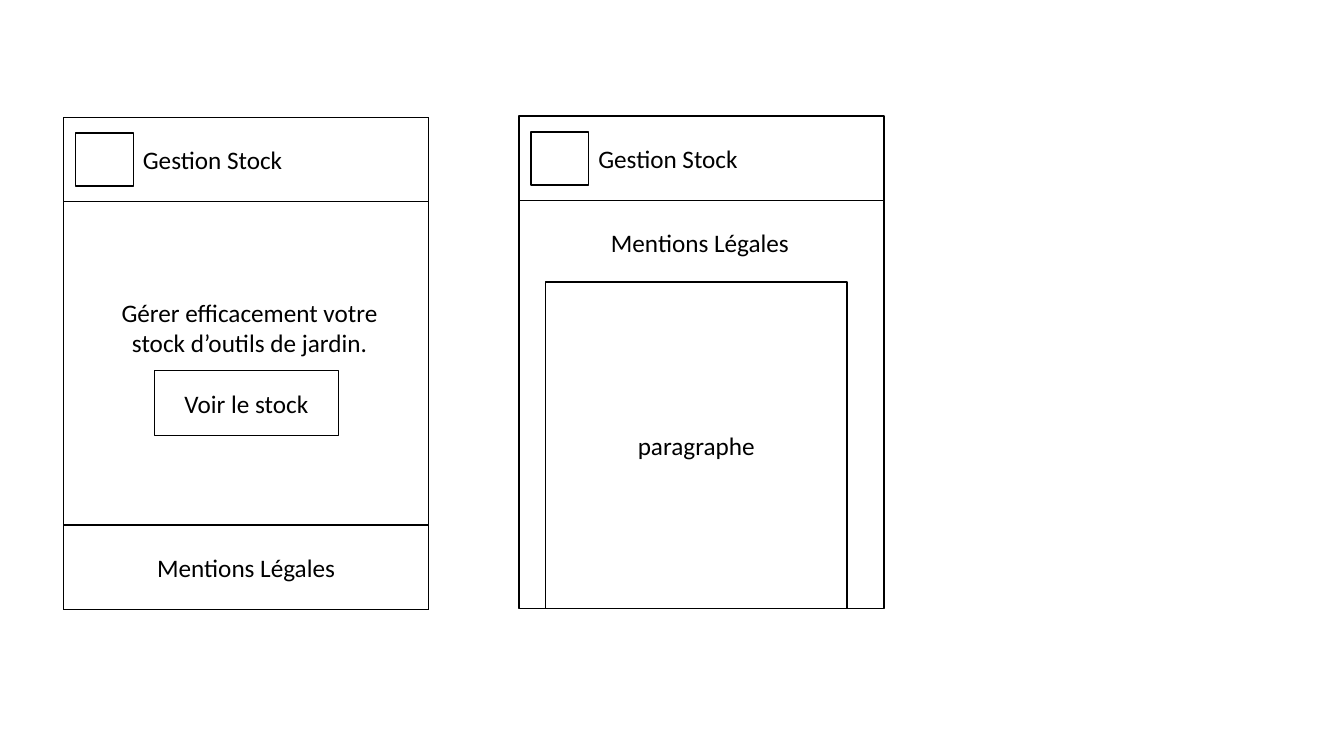
from pptx import Presentation
from pptx.dml.color import RGBColor
from pptx.enum.shapes import MSO_SHAPE
from pptx.enum.text import MSO_ANCHOR, MSO_AUTO_SIZE, PP_ALIGN
from pptx.util import Pt

RECT = MSO_SHAPE.RECTANGLE
MIDDLE = MSO_ANCHOR.MIDDLE
FIT = MSO_AUTO_SIZE.SHAPE_TO_FIT_TEXT
LEFT, CENTER = PP_ALIGN.LEFT, PP_ALIGN.CENTER
BLACK, WHITE = (RGBColor.from_string(c) for c in ("000000", "FFFFFF"))

deck = Presentation()
deck.slide_width, deck.slide_height = Pt(960), Pt(540)
slide = deck.slides.add_slide(deck.slide_layouts[6])


def write(shape, text, align):
    """Put one run of black 18 pt text in a shape."""
    par = shape.text_frame.paragraphs[0]
    par.alignment = align
    run = par.add_run()
    run.text = text
    run.font.name, run.font.size = "Calibri", Pt(18)
    run.font.color.rgb = BLACK


def box(x, y, w, h, text=""):
    """Draw a white outlined box, with centred text if given."""
    shape = slide.shapes.add_shape(RECT, Pt(x), Pt(y), Pt(w), Pt(h))
    shape.shadow.inherit = False
    shape.fill.solid()
    shape.fill.fore_color.rgb = WHITE
    shape.line.color.rgb = BLACK
    shape.line.width = Pt(1)
    if text:
        shape.text_frame.word_wrap = True
        shape.text_frame.vertical_anchor = MIDDLE
        write(shape, text, CENTER)


# Screen frames, each with a header holding a logo box
WIDTH, HEIGHT, BAR = 260.6, 351.5, 60.3
home, legal = (45.5, 83.8), (370.8, 83)
for x, y in (home, legal):
    box(x, y, WIDTH, HEIGHT)
    box(x, y, WIDTH, BAR)
    box(x + 8.5, y + 11.2, 41.2, 38)

# Home screen: button and footer
x, y = home
box(x, y + HEIGHT - BAR, WIDTH, BAR, "Mentions Légales")
box(x + 64.8, y + 181, 131.4, 46.2, "Voir le stock")

# Legal screen: text block down to the bottom edge
x, y = legal
box(x + 18.7, y + 118.5, 215.6, HEIGHT - 118.5, "paragraphe")

# Free labels: screen, offset, size, wrap, alignment, text
labels = [
    (home, 49.5, 15.7, 115.2, 29.1, False, LEFT, "Gestion Stock"),
    (legal, 49.5, 15.7, 115.2, 29.1, False, LEFT, "Gestion Stock"),
    (home, 25.1, 125, 215.3, 50.9, True, CENTER,
     "Gérer efficacement votre stock d’outils de jardin."),
    (legal, 58.5, 76.1, 143.3, 29.1, False, LEFT, "Mentions Légales"),
]
for (x, y), dx, dy, w, h, wrap, align, text in labels:
    label = slide.shapes.add_textbox(Pt(x + dx), Pt(y + dy), Pt(w), Pt(h))
    label.text_frame.word_wrap = wrap
    label.text_frame.auto_size = FIT
    write(label, text, align)

deck.save("out.pptx")
